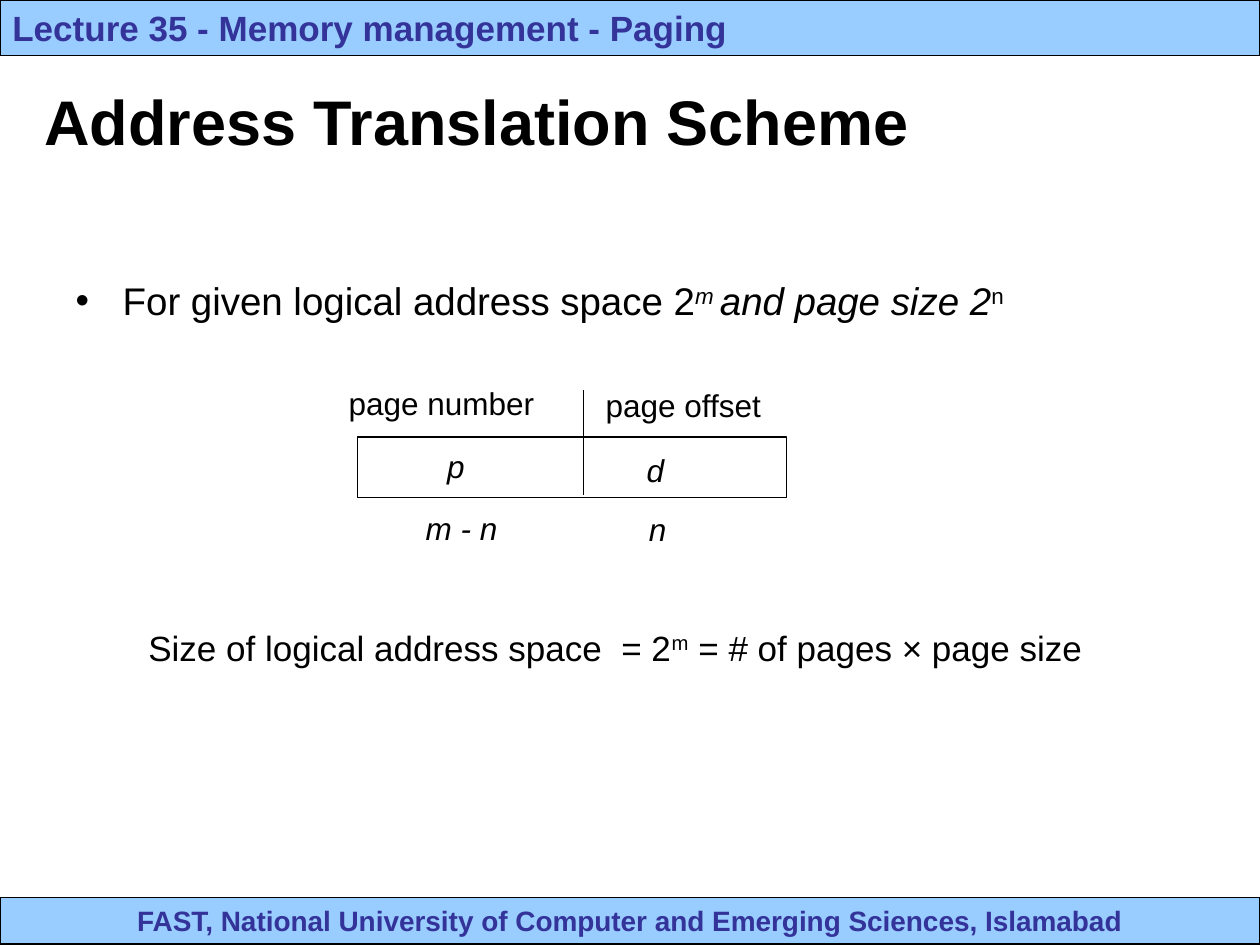
from lxml import etree
from pptx import Presentation
from pptx.dml.color import RGBColor
from pptx.enum import shapes, text
from pptx.oxml.ns import qn
from pptx.util import Cm, Pt

BLACK, WHITE, NAVY, SKY = "000000", "FFFFFF", "333399", "99CCFF"
LEFT, CENTER = text.PP_ALIGN.LEFT, text.PP_ALIGN.CENTER
TOP, MIDDLE = text.MSO_ANCHOR.TOP, text.MSO_ANCHOR.MIDDLE


def color(value):
    return RGBColor.from_string(value)


def place(shape, box):
    for name, value in zip(("left", "top", "width", "height"), box):
        setattr(shape, name, Cm(value))


def write(shape, runs, size, align=LEFT, anchor=TOP, wrap=True, ink=BLACK, bold=False):
    frame = shape.text_frame
    frame_format = {"word_wrap": wrap, "vertical_anchor": anchor,
                    "auto_size": text.MSO_AUTO_SIZE.NONE}
    for name, value in frame_format.items():
        setattr(frame, name, value)
    paragraph = frame.paragraphs[0]
    paragraph.alignment = align
    paragraph.space_before = Pt(0)
    for words, italic, raised in runs:
        run = paragraph.add_run()
        run.text = words
        run_format = {"name": "Arial", "size": Pt(size), "bold": bold, "italic": italic}
        for name, value in run_format.items():
            setattr(run.font, name, value)
        run.font.color.rgb = color(ink)
        if raised:
            run.font._element.set("baseline", "30000")
    return paragraph


def add_bullet(paragraph, indent):
    properties = paragraph._p.get_or_add_pPr()
    properties.set("marL", str(Cm(indent)))
    properties.set("indent", str(-Cm(indent)))
    etree.SubElement(properties, qn("a:buChar")).set("char", "•")


def add_rectangle(slide, box, fill):
    shape = slide.shapes.add_shape(shapes.MSO_SHAPE.RECTANGLE, *map(Cm, box))
    shape.shadow.inherit = False
    shape.fill.solid()
    shape.fill.fore_color.rgb = color(fill)
    shape.line.color.rgb = color(BLACK)
    shape.line.width = Pt(0.75)
    return shape


def add_divider(slide, x, top, bottom):
    line = slide.shapes.add_connector(
        shapes.MSO_CONNECTOR.STRAIGHT, Cm(x), Cm(top), Cm(x), Cm(bottom))
    line.line.color.rgb = color(BLACK)
    line.line.width = Pt(0.75)
    etree.SubElement(line._element.spPr, qn("a:effectLst"))


def add_text(slide, box, runs, size, **options):
    write(slide.shapes.add_textbox(*map(Cm, box)), runs, size, **options)


def add_banner(slide, top, height, words, size, align):
    banner = add_rectangle(slide, (0, top, 25.4, height), SKY)
    write(banner, [(words, False, False)], size, align, MIDDLE, ink=NAVY, bold=True)


def add_address_diagram(slide):
    add_rectangle(slide, (7.21, 8.81, 8.64, 1.22), WHITE)
    add_divider(slide, 11.76, 7.87, 9.98)
    labels = [
        ("page number", 6.78, 7.62, 4.24, False),
        ("page offset", 11.96, 7.65, 3.63, False),
        ("p", 8.76, 8.89, 0.86, True),
        ("d", 12.78, 8.97, 0.86, True),
        ("m - n", 8.2, 10.13, 2.21, True),
        ("n", 12.65, 10.16, 1.22, True),
    ]
    for words, left, top, width, italic in labels:
        add_text(slide, (left, top, width, 1.02), [(words, italic, False)], 18,
                 align=CENTER, anchor=MIDDLE, wrap=False)


def main():
    presentation = Presentation()
    presentation.slide_width, presentation.slide_height = Cm(25.4), Cm(19.05)
    slide = presentation.slides.add_slide(presentation.slide_layouts[1])
    title, body = slide.placeholders

    add_banner(slide, 18.09, 0.94,
               "FAST, National University of Computer and Emerging Sciences, Islamabad",
               16, CENTER)
    add_banner(slide, 0, 1.12, "Lecture 35 - Memory management - Paging", 20, LEFT)

    place(title, (0.64, 1.47, 22.86, 1.91))
    write(title, [("Address Translation Scheme", False, False)], 36,
          anchor=MIDDLE, bold=True)

    place(body, (1.27, 5.46, 22.86, 11.56))
    bullet = write(body, [
        ("For given logical address space 2", False, False),
        ("m ", True, True),
        ("and page size 2", True, False),
        ("n", False, True),
    ], 22)
    add_bullet(bullet, 0.95)

    add_address_diagram(slide)
    add_text(slide, (2.74, 12.5, 21.16, 1.12), [
        ("Size of logical address space  = 2", False, False),
        ("m", False, True),
        (" = # of pages × page size", False, False),
    ], 20)
    presentation.save("out.pptx")


if __name__ == "__main__":
    main()
